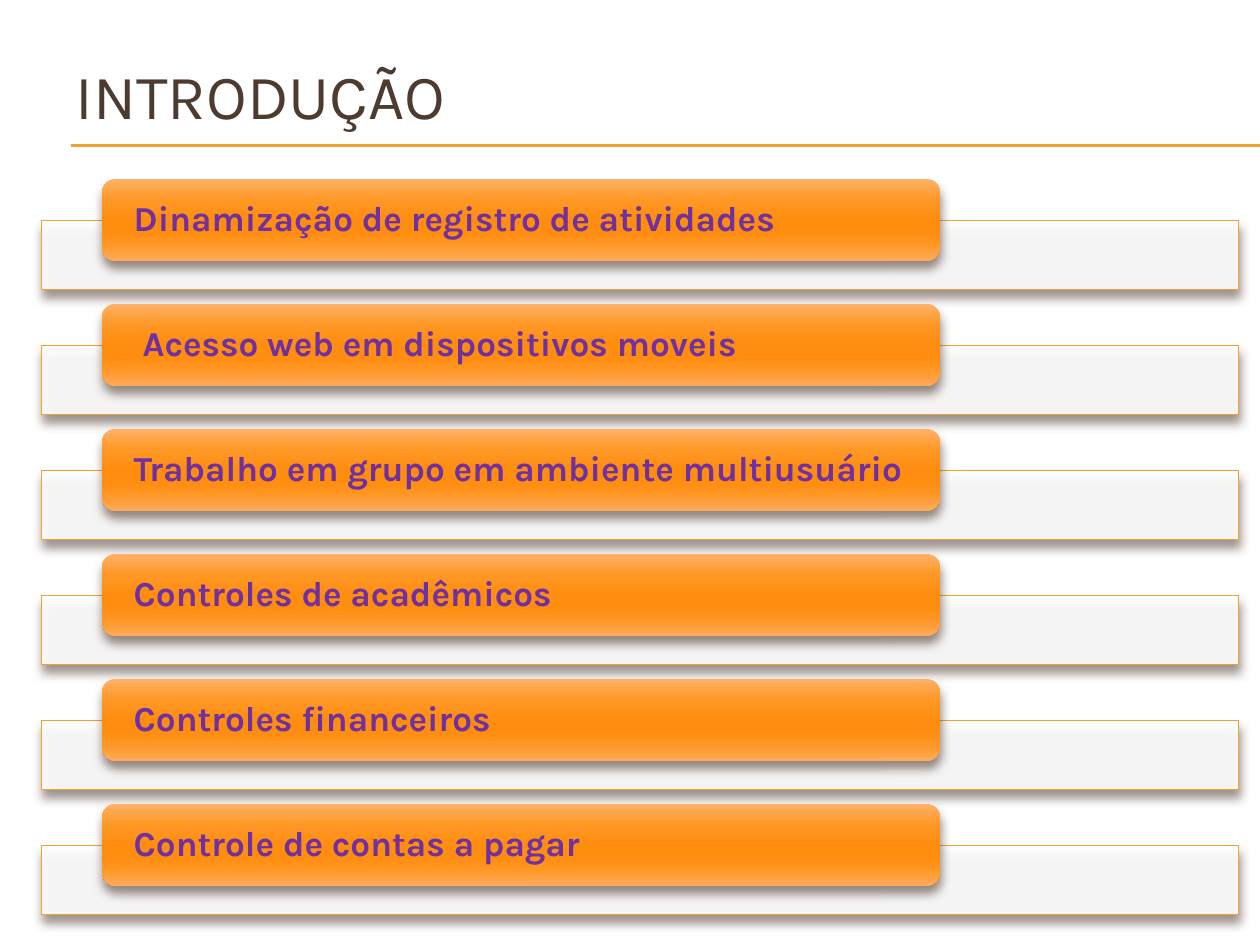
from lxml import etree
from pptx import Presentation
from pptx.dml.color import RGBColor
from pptx.enum.shapes import MSO_CONNECTOR, MSO_SHAPE
from pptx.enum.text import MSO_ANCHOR, PP_ALIGN
from pptx.oxml.ns import qn
from pptx.util import Inches, Pt

# Content
TITLE = "INTRODUÇÃO"
TOPICS = [
    "Dinamização de registro de atividades",
    " Acesso web em dispositivos moveis",
    "Trabalho em grupo em ambiente multiusuário",
    "Controles de acadêmicos",
    "Controles financeiros",
    "Controle de contas a pagar",
]

# Style
FONT = "Karla"
BROWN = RGBColor(0x4E, 0x3B, 0x30)
GOLD = RGBColor(0xF0, 0xA2, 0x2E)
PURPLE = RGBColor(0x70, 0x30, 0xA0)
WHITE = RGBColor(0xFF, 0xFF, 0xFF)
ORANGE_STOPS = [(0, "FFB16A"), (25, "FF9826"), (50, "FF8D0F"),
                (65, "FF8D0F"), (80, "FF9724"), (100, "FFAA5C")]
RECT, ROUNDED = MSO_SHAPE.RECTANGLE, MSO_SHAPE.ROUNDED_RECTANGLE
STRAIGHT = MSO_CONNECTOR.STRAIGHT
MIDDLE, LEFT = MSO_ANCHOR.MIDDLE, PP_ALIGN.LEFT

# Layout
FIRST_TOP, LAST_TOP = 1.42, 6.38
PITCH = (LAST_TOP - FIRST_TOP) / (len(TOPICS) - 1)
BAR_DROP = 0.33


def add(parent, tag, **attrs):
    return etree.SubElement(parent, qn(tag), {k: str(v) for k, v in attrs.items()})


def add_color(parent, color, alpha=None):
    clr = add(parent, "a:srgbClr", val=color)
    if alpha is not None:
        add(clr, "a:alpha", val=alpha * 1000)


def add_box(kind, left, top, width, height):
    sp = slide.shapes.add_shape(kind, Inches(left), Inches(top),
                                Inches(width), Inches(height))
    sp.shadow.inherit = False
    effects = sp._element.spPr.find(qn("a:effectLst"))
    shadow = add(effects, "a:outerShdw", blurRad=Pt(6), dist=Pt(4),
                 dir=90 * 60000, rotWithShape=0)
    add_color(shadow, BROWN, 60)
    return sp


def fill_gradient(sp, stops):
    sp.fill.gradient()
    sp.fill.gradient_angle = 270  # counter-clockwise: top to bottom
    stop_list = sp._element.spPr.find(qn("a:gradFill")).find(qn("a:gsLst"))
    for old in list(stop_list):
        stop_list.remove(old)
    for pos, color in stops:
        add_color(add(stop_list, "a:gs", pos=pos * 1000), color)


def format_run(r, size, color, bold=False):
    r.font.name = FONT
    r.font.size = Pt(size)
    r.font.color.rgb = color
    r.font.bold = bold


prs = Presentation()
prs.slide_width, prs.slide_height = Inches(10), Inches(7.5)
slide = prs.slides.add_slide(prs.slide_layouts[5])

# Double rule under the title
for y in (1.15, 1.16):
    rule = slide.shapes.add_connector(STRAIGHT, Inches(0.56), Inches(y),
                                      Inches(10), Inches(y))
    rule.line.color.rgb = GOLD
    rule.line.width = Pt(0.75)
    add(rule._element.spPr, "a:effectLst")

# Title
title = slide.shapes.title
title.left, title.top = Inches(0.5), Inches(0.29)
title.width, title.height = Inches(9.5), Inches(0.92)
tf = title.text_frame
tf.text = TITLE
tf.vertical_anchor = MIDDLE
tf.paragraphs[0].alignment = LEFT
format_run(tf.paragraphs[0].runs[0], 36, BROWN)

# Topic rows: a wide pale bar behind an orange label
for i, topic in enumerate(TOPICS):
    top = FIRST_TOP + i * PITCH

    bar = add_box(RECT, 0.33, top + BAR_DROP, 9.5, 0.55)
    bar.fill.solid()
    bar.fill.fore_color.rgb = WHITE
    white = bar._element.spPr.find(qn("a:solidFill"))[0]
    add(white, "a:alpha", val=90000)
    bar.line.color.rgb = GOLD
    bar.line.width = Pt(0.79)

    label = add_box(ROUNDED, 0.81, top, 6.65, 0.65)
    fill_gradient(label, ORANGE_STOPS)
    label.line.fill.background()
    tf = label.text_frame
    tf.word_wrap = True
    tf.vertical_anchor = MIDDLE
    tf.margin_left = tf.margin_right = Inches(0.22)
    tf.margin_top = tf.margin_bottom = 0
    p = tf.paragraphs[0]
    p.text = topic
    p.alignment = LEFT
    p.line_spacing = 0.9
    format_run(p.runs[0], 20, PURPLE, bold=True)

prs.save("out.pptx")
